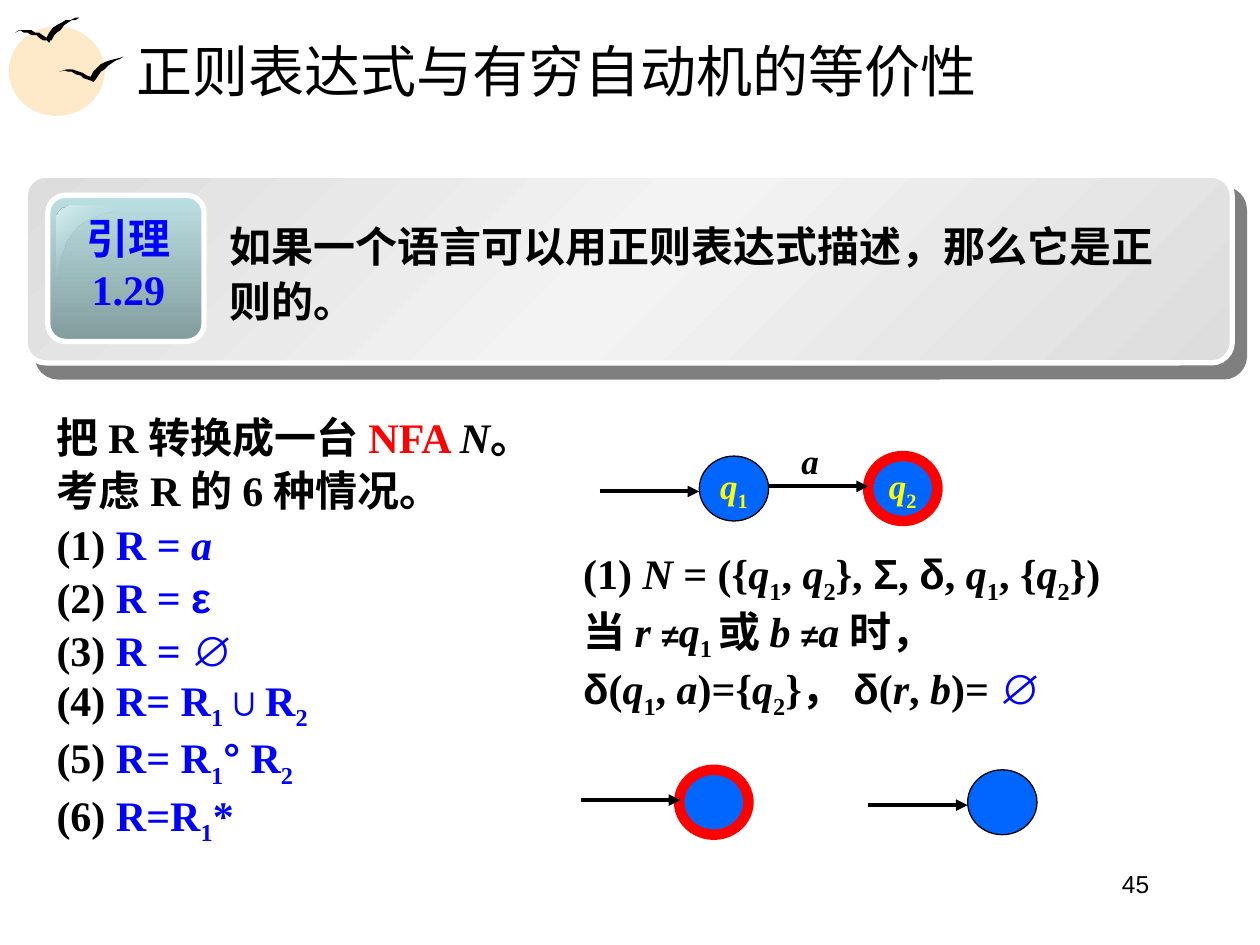
from lxml import etree
from pptx import Presentation
from pptx import util as u
from pptx.dml.color import RGBColor as Rgb
from pptx.enum import shapes, text
from pptx.oxml import ns


class Theme:
    serif, sans = "Times New Roman", "Arial"
    black, white, red, blue = "000000", "FFFFFF", "FF0000", "0000FF"
    yellow, node, sun = "FFFF00", "0066FF", "FEE9C8"
    title, body, label, small, page = 32, 24, 20, 18, 14


deck = Presentation()
deck.slide_width, deck.slide_height = u.Inches(10), u.Inches(7.5)
col, row = deck.slide_width // 100, deck.slide_height // 75
slide = deck.slides.add_slide(deck.slide_layouts[5])
parts = slide.shapes
kind = shapes.MSO_SHAPE
mid = text.MSO_ANCHOR.MIDDLE
left, center, right = text.PP_ALIGN.LEFT, text.PP_ALIGN.CENTER, text.PP_ALIGN.RIGHT

# Run styles, named by one letter in the marked-up lines below
style = {
    "i": {"italic": True},
    "a": {"name": Theme.sans},
    "m": {"size": u.Pt(Theme.small)},
}
tint = {"b": Theme.blue, "r": Theme.red}


def put(geom, x, y, w, h, fill=None, line=None, width=1):
    """Place a shape, or a text box when geom is None, on the grid."""
    box = [int(x * col), int(y * row), int(w * col), int(h * row)]
    if geom is None:
        item = parts.add_textbox(*box)
        item.text_frame.word_wrap = True
        return item
    item = parts.add_shape(geom, *box)
    item.shadow.inherit = False
    if fill:
        item.fill.solid()
        item.fill.fore_color.rgb = Rgb.from_string(fill)
    if line:
        item.line.color.rgb = Rgb.from_string(line)
        item.line.width = u.Pt(width)
    else:
        item.line.fill.background()
    return item


def write(item, lines, size, color=Theme.black, bold=True, face=Theme.serif,
          hang=0, before=(), **form):
    """Fill with lines of runs split by |, each with optional letters~."""
    frame = item.text_frame
    for n, line in enumerate(lines):
        para = frame.paragraphs[0] if n == 0 else frame.add_paragraph()
        if hang:
            props = para._p.get_or_add_pPr()
            props.set("marL", str(hang))
            props.set("indent", str(-hang))
        for key, value in form.items():
            setattr(para, key, value)
        if n in before:
            para.space_before = u.Pt(1.5)
        for piece in line.split("|"):
            marks, _, words = piece.rpartition("~")
            run = para.add_run()
            run.text = words
            look = {"name": face, "size": u.Pt(size), "bold": bold}
            hue = color
            for mark in marks:
                look.update(style.get(mark, {}))
                hue = tint.get(mark, hue)
            for key, value in look.items():
                setattr(run.font, key, value)
            run.font.color.rgb = Rgb.from_string(hue)
            if "s" in marks:
                run._r.get_or_add_rPr().set("baseline", "-25000")


# Sun and two birds
for box in ((0.7, 2.1, 7.6, 7.1), (2, 2.8, 6.3, 5.5)):
    put(kind.OVAL, *box, Theme.sun)

# One bird outline, in hundredths of an inch
bird = [(47, 57), (50, 56), (53, 55), (57, 55), (60, 56), (63, 57), (66, 58),
        (69, 60), (72, 61), (74, 57), (77, 54), (80, 51), (84, 49), (87, 48),
        (91, 47), (95, 46), (98, 45), (95, 47), (92, 48), (89, 50), (86, 52),
        (83, 55), (80, 57), (78, 60), (76, 63), (75, 64), (74, 65), (72, 64),
        (69, 63), (66, 62), (64, 60), (60, 59), (57, 57), (54, 57), (51, 56)]
for dx, dy in ((0, 0), (-35, -31.5)):
    dots = [(x + dx, y + dy) for x, y in bird]
    pen = parts.build_freeform(*dots[0], scale=col / 10)
    pen.add_line_segments(dots[1:])
    wing = pen.convert_to_shape()
    wing.shadow.inherit = False
    wing.fill.solid()
    wing.fill.fore_color.rgb = Rgb.from_string(Theme.black)
    wing.line.fill.background()

# Title and page number
head = parts.title
for key, value in {"left": 9.8 * col, "top": 2.1 * row,
                   "width": 85.3 * col, "height": 6.9 * row}.items():
    setattr(head, key, int(value))
head.text_frame.auto_size = text.MSO_AUTO_SIZE.NONE
head.text_frame.vertical_anchor = mid
write(head, ["正则表达式与有穷自动机的等价性"], Theme.title, bold=False, alignment=left)
write(put(None, 68.9, 68.5, 23.3, 5.2), ["45"], Theme.page,
      bold=False, face=Theme.sans, alignment=right)

# Lemma card, badge and the curved gloss on the badge
card = put(kind.ROUNDED_RECTANGLE, 2, 13.9, 95.8, 14.9, line=Theme.white, width=3)
card.adjustments[0] = 0.11
badge = put(kind.ROUNDED_RECTANGLE, 3.8, 15.5, 12.4, 11.6, line=Theme.white, width=3)
badge.adjustments[0] = 0.12
arcs = [((58, 163), (51, 163), (45, 168), (45, 174)),
        ((45, 220), (48, 221), (47, 193), (62, 180)),
        ((62, 180), (78, 167), (107, 166), (106, 163))]
edge = []
for arc in arcs:
    for t in [n / 12 for n in range(13)]:
        share = ((1 - t) ** 3, 3 * t * (1 - t) ** 2, 3 * t * t * (1 - t), t ** 3)
        edge.append([sum(s * p[axis] for s, p in zip(share, arc)) for axis in (0, 1)])
pen = parts.build_freeform(*edge[0], scale=col / 10)
pen.add_line_segments(edge[1:])
gloss = pen.convert_to_shape()
gloss.shadow.inherit = False
gloss.line.fill.background()

# Gradients: position, colour, opacity
fades = [
    (card, 45, [(0, "DDDDDD", 100), (50, "F3F3F3", 100), (100, "DDDDDD", 100)]),
    (badge, 90, [(0, "BBE0E3", 100), (100, "839C9E", 100)]),
    (gloss, 45, [(0, "DAEEF0", 100), (50, "BBE0E3", 0), (100, "DAEEF0", 100)]),
]
for item, angle, stops in fades:
    item.fill.gradient()
    item.fill.gradient_angle = 360 - angle
    ramp = item._element.spPr.find(".//" + ns.qn("a:gsLst"))
    for old in list(ramp):
        ramp.remove(old)
    for place, hue, alpha in stops:
        stop = etree.SubElement(ramp, ns.qn("a:gs"), pos=str(place * 1000))
        tone = etree.SubElement(stop, ns.qn("a:srgbClr"), val=hue)
        etree.SubElement(tone, ns.qn("a:alpha"), val=str(alpha * 1000))

# Hard shadow under the card
fx = card._element.spPr.find(ns.qn("a:effectLst"))
cast = etree.SubElement(fx, ns.qn("a:outerShdw"), blurRad="0", dist=str(u.Pt(10.6)),
                        dir=str(49 * 60000), algn="ctr", rotWithShape="0")
tone = etree.SubElement(cast, ns.qn("a:srgbClr"), val=Theme.black)
etree.SubElement(tone, ns.qn("a:alpha"), val="50000")

write(put(None, 5.5, 16.4, 9.4, 9), ["引理", "1.29"], Theme.body, Theme.blue,
      alignment=center)
write(put(None, 17.2, 16.6, 76.4, 9.8),
      ["如果一个语言可以用正则表达式描述，那么它是正则的。"], Theme.body, line_spacing=1.1)

# Six cases of R
cases = [
    "把 R 转换成一台 |r~NFA |i~N|。",
    "考虑 R 的 6 种情况。",
    "(1) |b~R = |bi~a",
    "(2) |b~R = |ba~ε",
    "(3) |b~R = |ba~∅",
    "(4) |b~R= R|bs~1|b~∪R|bs~2",
    "(5) |b~R= R|bs~1|ba~°|b~ R|bs~2",
    "(6) |b~R=R|bs~1|b~*",
]
write(put(None, 3.5, 32.2, 40.9, 39.5), cases, Theme.body, hang=5 * col,
      before=range(1, 5))

# States: left, top, label, accepting
states = [(68.9, 36.2, "i~q|s~2", True), (55.5, 36.2, "i~q|s~1", False),
          (53.9, 61.1, "", True), (76.8, 61.1, "", False)]
for x, y, name, final in states:
    line, width = (Theme.red, 6) if final else (Theme.black, 0.75)
    state = put(kind.OVAL, x, y, 5.5, 5.15, Theme.node, line, width)
    if name:
        state.text_frame.word_wrap = False
        state.text_frame.vertical_anchor = mid
        write(state, [name], Theme.label, Theme.yellow, alignment=center)

# Arrows, all of one length
for x, y in ((61, 38.6), (47.6, 39), (46.1, 63.5), (68.9, 63.9)):
    arrow = parts.add_connector(shapes.MSO_CONNECTOR.STRAIGHT, int(x * col),
                                int(y * row), int((x + 7.9) * col), int(y * row))
    arrow.line.color.rgb = Rgb.from_string(Theme.black)
    arrow.line.width = u.Pt(2.25)
    props = arrow._element.spPr
    etree.SubElement(props.find(ns.qn("a:ln")), ns.qn("a:tailEnd"), type="triangle")
    etree.SubElement(props, ns.qn("a:effectLst"))

sign = put(None, 62.6, 34.4, 3.4, 4.4)
sign.text_frame.word_wrap = False
write(sign, ["i~a"], Theme.label, alignment=center)

# Formal definition of the first automaton
proof = [
    "(1) |i~N| = ({|i~q|s~1|, |i~q|s~2|}, |a~Σ|, |a~δ|, |i~q|s~1|, {|i~q|s~2|})",
    "当 |i~r |am~≠|i~q|s~1 |或 |i~b |am~≠|i~a |时，",
    "a~δ|(|i~q|s~1|, |i~a|)={|i~q|s~2|}， |a~δ|(|i~r|, |i~b|)= |ab~∅",
]
write(put(None, 45.3, 43, 50.4, 14.7), proof, Theme.body)

deck.save("out.pptx")
